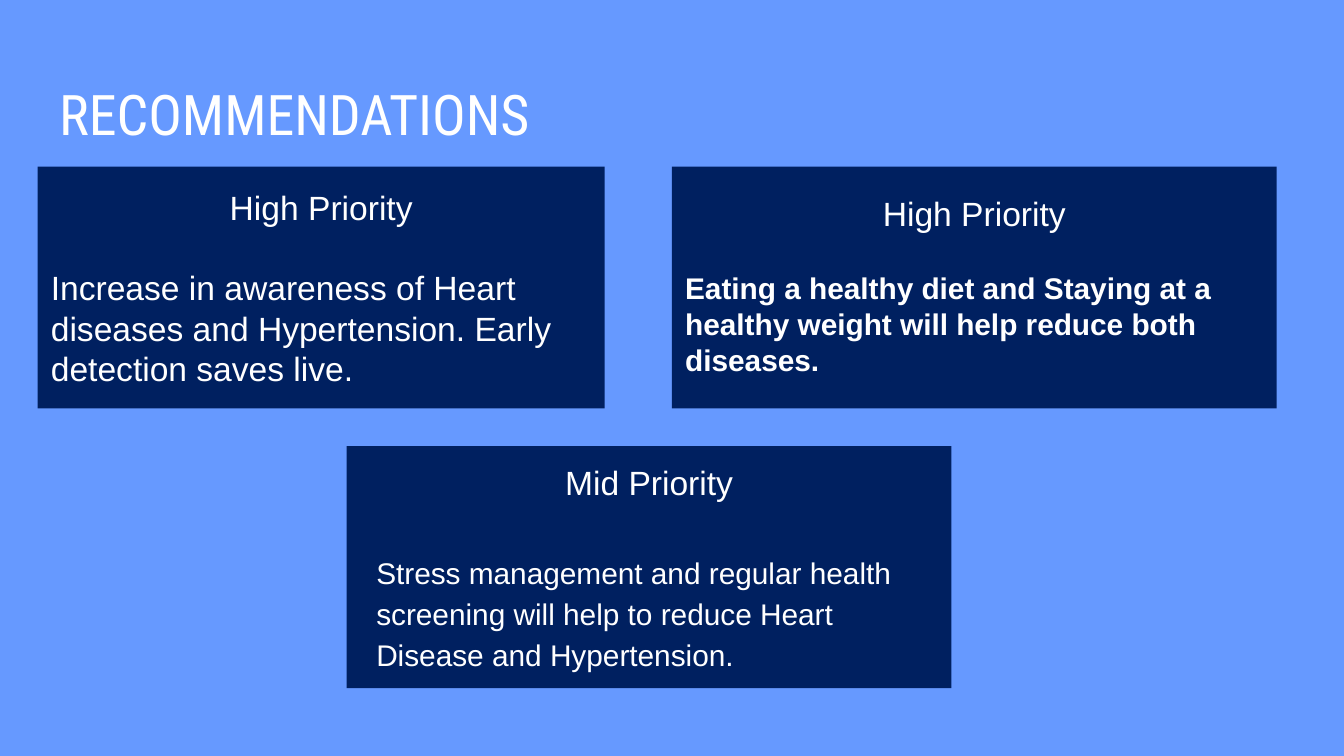
from dataclasses import dataclass

from pptx import Presentation
from pptx.dml.color import RGBColor
from pptx.enum import shapes, text
from pptx.util import Inches, Pt


@dataclass(frozen=True)
class Theme:
    """Colours, fonts and type sizes of the slide."""
    background: RGBColor = RGBColor(0x66, 0x99, 0xFF)
    card: RGBColor = RGBColor(0x00, 0x20, 0x60)
    ink: RGBColor = RGBColor(0xFF, 0xFF, 0xFF)
    title_font: str = "Roboto Condensed"
    body_font: str = "Arial"
    title_size: int = 30
    heading_size: int = 18
    small_size: int = 16


THEME = Theme()
CARD_HEIGHT = 1.8
INSET = 0.1


def set_all(target, values):
    """Set each named attribute on the target."""
    for name, value in values.items():
        setattr(target, name, value)


def prepare_frame(frame, anchor):
    """Give a text frame its insets, wrapping and anchor."""
    margins = {f"margin_{side}": Inches(INSET)
               for side in ("left", "top", "right", "bottom")}
    set_all(frame, {**margins, "word_wrap": True, "vertical_anchor": anchor,
                    "auto_size": text.MSO_AUTO_SIZE.NONE})


def write(paragraph, wording, font, **layout):
    """Fill one paragraph with a formatted run."""
    set_all(paragraph, layout)
    run = paragraph.add_run()
    run.text = wording
    set_all(run.font, font)
    run.font.color.rgb = THEME.ink


def place(shape, box):
    """Move a shape to a box of left, top, width and height in inches."""
    set_all(shape, dict(zip(("left", "top", "width", "height"), map(Inches, box))))


def add_title(slide, box, wording):
    """Place and fill the title placeholder."""
    title = slide.shapes.title
    place(title, box)
    prepare_frame(title.text_frame, text.MSO_ANCHOR.TOP)
    write(title.text_frame.paragraphs[0], wording,
          {"name": THEME.title_font, "size": Pt(THEME.title_size)},
          alignment=text.PP_ALIGN.LEFT)


def add_card(slide, box, heading, advice, size, gap,
             bold=False, line_spacing=1.0, indent=0, lift=0):
    """Draw a card with a centred heading above its advice."""
    card = slide.shapes.add_shape(shapes.MSO_SHAPE.RECTANGLE, *map(Inches, box))
    card.shadow.inherit = False
    card.fill.solid()
    card.fill.fore_color.rgb = THEME.card
    card.line.fill.background()
    frame = card.text_frame
    prepare_frame(frame, text.MSO_ANCHOR.MIDDLE)
    set_all(frame, {"margin_left": Inches(INSET + indent),
                    "margin_right": Inches(INSET + indent),
                    "margin_bottom": Inches(INSET + lift)})
    write(frame.paragraphs[0], heading,
          {"name": THEME.body_font, "size": Pt(THEME.heading_size)},
          alignment=text.PP_ALIGN.CENTER)
    write(frame.add_paragraph(), advice,
          {"name": THEME.body_font, "size": Pt(size), "bold": bold},
          alignment=text.PP_ALIGN.LEFT, space_before=Pt(gap),
          line_spacing=line_spacing)


def build_recommendations(presentation):
    """Build the recommendations slide."""
    slide = presentation.slides.add_slide(presentation.slide_layouts[5])
    slide.background.fill.solid()
    slide.background.fill.fore_color.rgb = THEME.background
    add_title(slide, (0.34, 0.49, 9.32, 0.63), "RECOMMENDATIONS")
    upper, lower = 1.24, 3.32
    add_card(slide, (0.28, upper, 4.22, CARD_HEIGHT), "High Priority",
             "Increase in awareness of Heart diseases and Hypertension. "
             "Early detection saves live.", THEME.heading_size, gap=21.5)
    add_card(slide, (2.58, lower, 4.5, CARD_HEIGHT), "Mid Priority",
             "Stress management and regular health screening will help to "
             "reduce Heart Disease and Hypertension.", THEME.small_size,
             gap=25, line_spacing=1.15, indent=0.12)
    add_card(slide, (5, upper, 4.5, CARD_HEIGHT), "High Priority",
             "Eating a healthy diet and Staying at a healthy weight will help "
             "reduce both diseases.", THEME.small_size, gap=19.5, bold=True,
             lift=0.04)


presentation = Presentation()
presentation.slide_width = Inches(10)
presentation.slide_height = Inches(10) * 9 // 16
build_recommendations(presentation)
presentation.save("out.pptx")
